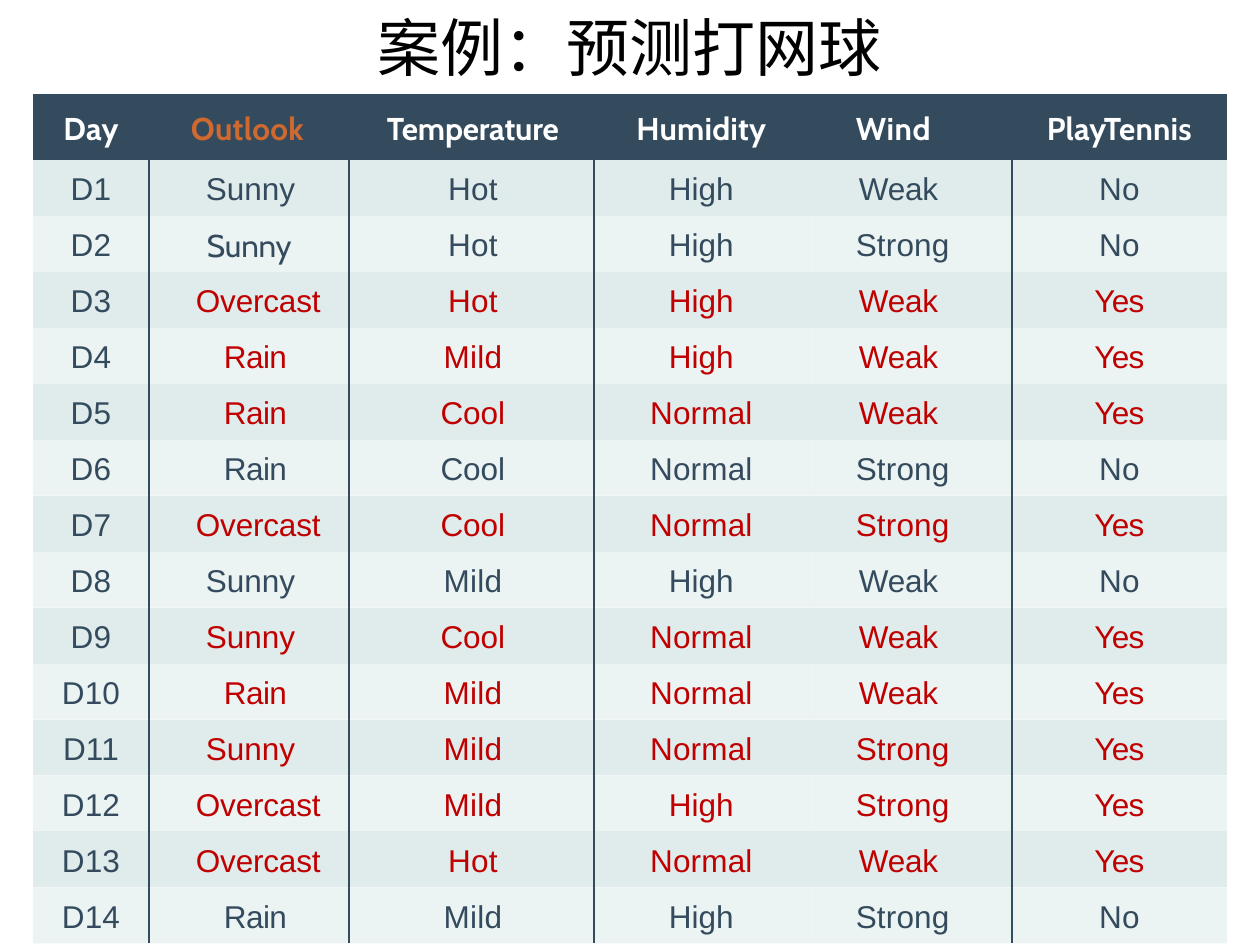
from typing import NamedTuple

from lxml import etree
from pptx import Presentation
from pptx.dml.color import RGBColor
from pptx.enum.text import MSO_ANCHOR, PP_ALIGN
from pptx.oxml.ns import qn
from pptx.util import Emu, Pt

PX = 914400 // 126
LEFT, CENTER = PP_ALIGN.LEFT, PP_ALIGN.CENTER
MIDDLE = MSO_ANCHOR.MIDDLE
COLORS = {
    "slate": "344B5E",
    "orange": "D0692F",
    "white": "FFFFFF",
    "black": "000000",
    "red": "C00000",
    "mist": "E0EBEB",
}
PLAIN_TABLE_STYLE = "{2D5ABB26-0587-4C30-8999-92F81FD0307C}"


class Look(NamedTuple):
    """Letter spacing in hundredths of a point, left indent in px."""
    spacing: int = 0
    indent: int = 0
    align: PP_ALIGN = CENTER
    font: str = "Arial"


class Column(NamedTuple):
    heading: str
    width: int
    look: Look
    color: str = "white"


COLUMNS = [
    Column("Day", 116, Look(20, font="Cabin")),
    Column("Outlook", 200, Look(20, 42, LEFT, "Cabin"), "orange"),
    Column("Temperature", 245, Look(-10, 3, font="Cabin")),
    Column("Humidity", 215, Look(10, font="Cabin")),
    Column("Wind", 203, Look(30, 47, LEFT, "Cabin")),
    Column("PlayTennis", 215, Look(10, font="Cabin")),
]
DAYS = """\
Sunny Hot High Weak No
Sunny Hot High Strong No
Overcast Hot High Weak Yes
Rain Mild High Weak Yes
Rain Cool Normal Weak Yes
Rain Cool Normal Strong No
Overcast Cool Normal Strong Yes
Sunny Mild High Weak No
Sunny Cool Normal Weak Yes
Rain Mild Normal Weak Yes
Sunny Mild Normal Strong Yes
Overcast Mild High Strong Yes
Overcast Hot Normal Weak Yes
Rain Mild High Strong No""".splitlines()
LOOKS = {
    "Sunny": Look(0, 57, LEFT),
    "Overcast": Look(-10, 47, LEFT),
    "Rain": Look(-30, 13),
    "Hot": Look(20, 3),
    "Mild": Look(20, 3),
    "Cool": Look(0, 3),
    "High": Look(),
    "Normal": Look(10),
    "Weak": Look(-10, 50, LEFT),
    "Strong": Look(10, 47, LEFT),
    "Yes": Look(-40),
    "No": Look(10),
}
DAY_LOOK = Look(10)
CABIN_SUNNY = Look(-10, 58, LEFT, "Cabin")  # outlook of D2
RULED_SIDES = {0: ["R"], 1: ["L", "R"], 2: ["L"], 4: ["R"], 5: ["L"]}
HEADER_HEIGHT, DAY_HEIGHT = 66, 56


def px(length: int) -> Emu:
    return Emu(length * PX)


def set_font(paragraph, name: str, size: int, color: str, bold: bool = False) -> None:
    font = paragraph.font
    font.name, font.size, font.bold = name, Pt(size), bold
    font.color.rgb = RGBColor.from_string(COLORS[color])


def write_cell(cell, text: str, look: Look, color: str, header: bool = False) -> None:
    cell.margin_left = cell.margin_right = cell.margin_bottom = 0
    cell.margin_top = px(5 if header else 4)
    cell.vertical_anchor = MIDDLE
    paragraph = cell.text_frame.paragraphs[0]
    paragraph.alignment = look.align
    paragraph.space_before = Pt(2.8 if header else 2.4)
    set_font(paragraph, look.font, 18, color, header)
    properties = paragraph._p.get_or_add_pPr()
    properties.set("marL", str(px(look.indent)))
    properties.set("indent", "0")
    run = paragraph.add_run()
    run.text = text
    run._r.get_or_add_rPr().set("spc", str(look.spacing))


def fill_cell(cell, color: str, opacity: int = 100) -> None:
    cell.fill.solid()
    cell.fill.fore_color.rgb = RGBColor.from_string(COLORS[color])
    if opacity < 100:
        tint = cell._tc.tcPr.find(".//" + qn("a:srgbClr"))
        etree.SubElement(tint, qn("a:alpha"), val=str(opacity * 1000))


def rule_cell(cell, sides: list[str]) -> None:
    # Borders come before the fill in the cell properties
    for position, side in enumerate(sides):
        line = etree.Element(qn(f"a:ln{side}"), w=str(Pt(1)))
        paint = etree.SubElement(line, qn("a:solidFill"))
        etree.SubElement(paint, qn("a:srgbClr"), val=COLORS["slate"])
        cell._tc.tcPr.insert(position, line)


def add_title(slide, text: str) -> None:
    frame = slide.shapes.add_textbox(px(63), 0, px(1134), px(93)).text_frame
    frame.word_wrap = True
    frame.vertical_anchor = MIDDLE
    title = frame.paragraphs[0]
    title.text = text
    title.alignment = CENTER
    set_font(title, "Calibri", 36, "black")


def add_days_table(slide) -> None:
    width = sum(column.width for column in COLUMNS)
    height = HEADER_HEIGHT + DAY_HEIGHT * len(DAYS)
    table = slide.shapes.add_table(
        len(DAYS) + 1, len(COLUMNS), px(33), px(94), px(width), px(height)).table
    table.first_row = table.horz_banding = False
    table._tbl.tblPr.find(qn("a:tableStyleId")).text = PLAIN_TABLE_STYLE

    # Header
    table.rows[0].height = px(HEADER_HEIGHT)
    for index, column in enumerate(COLUMNS):
        table.columns[index].width = px(column.width)
        cell = table.cell(0, index)
        write_cell(cell, column.heading, column.look, column.color, header=True)
        fill_cell(cell, "slate")

    # One row per day, red where tennis is played
    for number, day in enumerate(DAYS, start=1):
        table.rows[number].height = px(DAY_HEIGHT)
        words = [f"D{number}", *day.split()]
        for index, word in enumerate(words):
            cell = table.cell(number, index)
            look = LOOKS.get(word, DAY_LOOK)
            if (number, index) == (2, 1):
                look = CABIN_SUNNY
            color = "red" if index and words[-1] == "Yes" else "slate"
            write_cell(cell, word, look, color)
            fill_cell(cell, "mist", 100 if number % 2 else 60)
            rule_cell(cell, RULED_SIDES.get(index, []))


def main() -> None:
    deck = Presentation()
    deck.slide_width, deck.slide_height = px(1260), px(945)
    slide = deck.slides.add_slide(deck.slide_layouts[6])
    add_days_table(slide)
    add_title(slide, "案例：预测打网球")
    deck.save("out.pptx")


if __name__ == "__main__":
    main()
